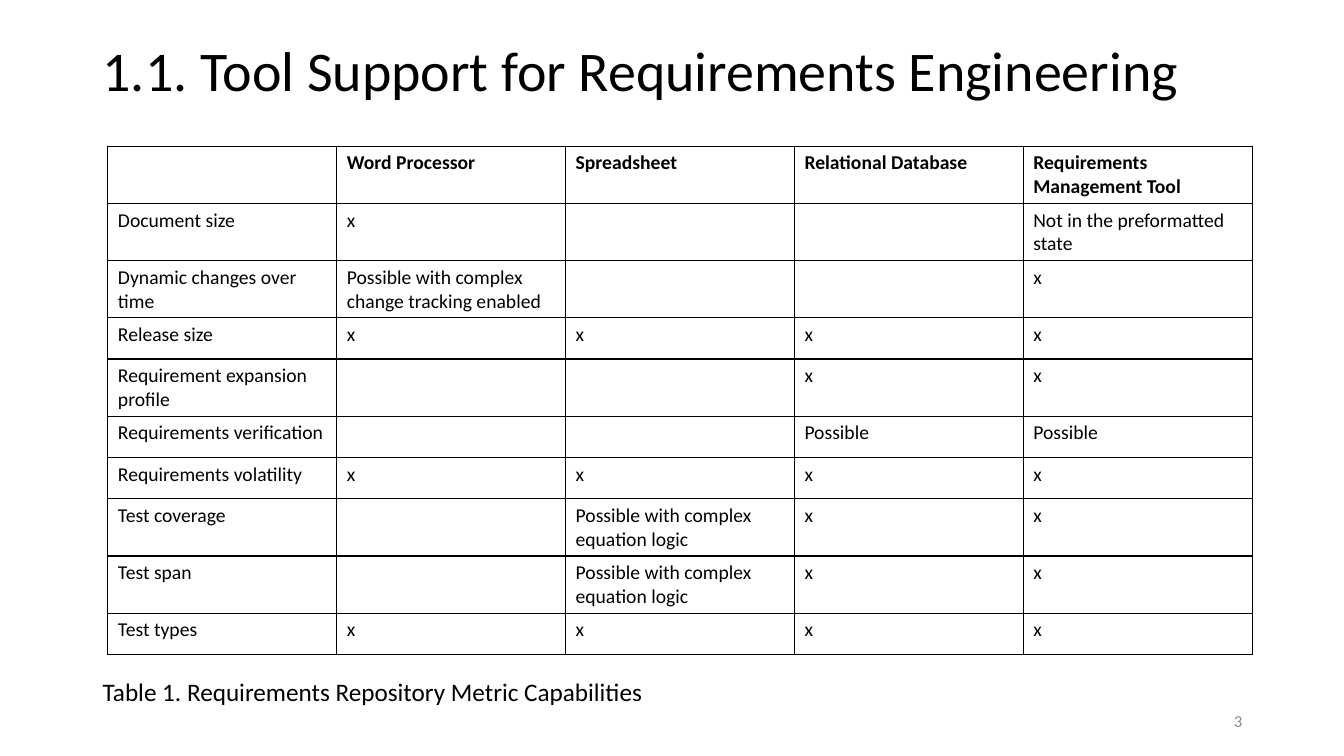
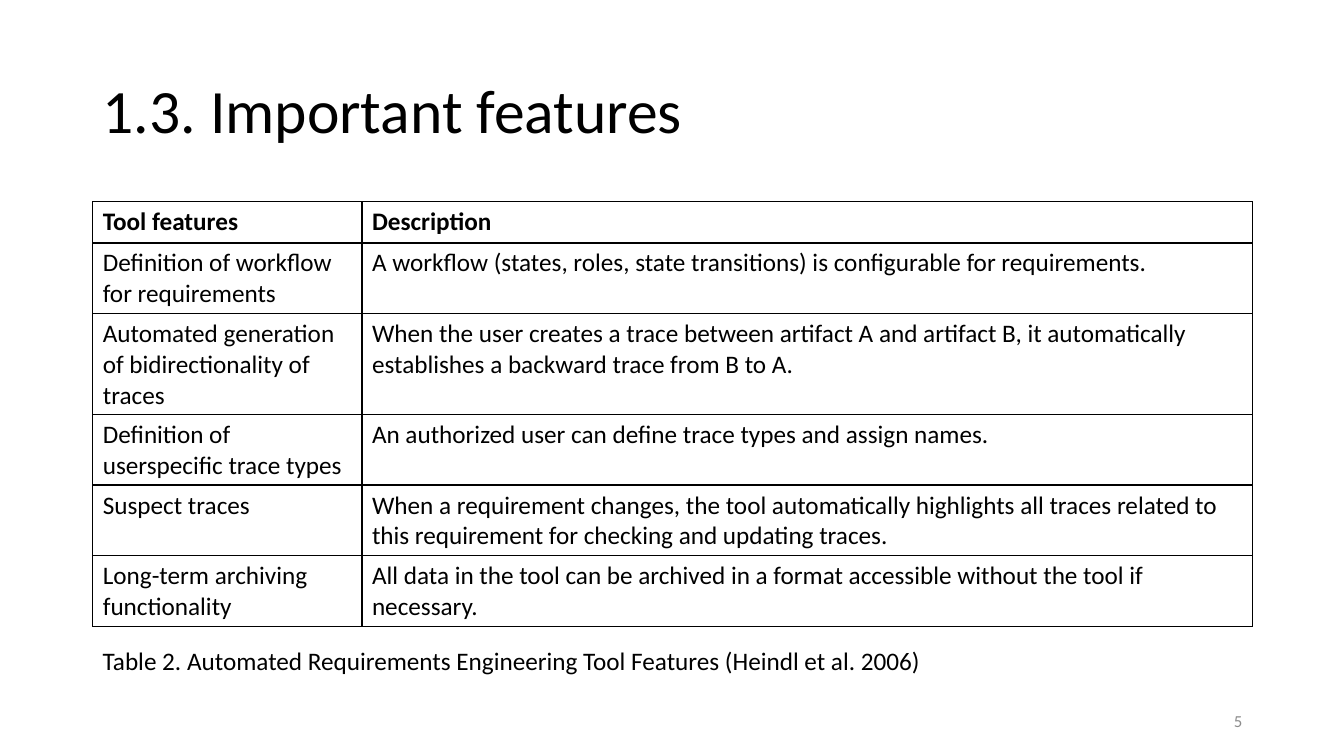
from dataclasses import dataclass

from lxml.etree import SubElement
from pptx import Presentation
from pptx.dml.color import RGBColor
from pptx.enum.text import MSO_ANCHOR, PP_ALIGN
from pptx.oxml.ns import qn
from pptx.util import Inches, Pt

COLORS = {"text": "000000", "border": "000000", "number": "8C8C8C"}
FONT = "Calibri"
LEFT = 0.92
WIDTH = 11.5
ROW_HEIGHT = 0.41
BORDER_WIDTH = Pt(1)


@dataclass
class TextStyle:
    size: int
    color: str = "text"
    bold: bool = False
    align: PP_ALIGN = PP_ALIGN.LEFT
    anchor: MSO_ANCHOR = MSO_ANCHOR.TOP
    line_spacing: float = 1.0


@dataclass
class Box:
    left: float
    top: float
    width: float
    height: float


@dataclass
class TableSlide:
    title: str
    title_top: float
    title_size: int
    table_left: float
    table_top: float
    col_widths: list[float]
    cell_size: int
    rows: list[list[str]]
    caption: str
    caption_top: float
    number: int


CAPTION = TextStyle(18)
NUMBER = TextStyle(12, "number", align=PP_ALIGN.RIGHT, anchor=MSO_ANCHOR.MIDDLE)

SLIDES = [
    TableSlide(
        title="1.1. Tool Support for Requirements Engineering",
        title_top=0,
        title_size=40,
        table_left=1.07,
        table_top=1.45,
        col_widths=[2.27] * 5,
        cell_size=14,
        rows=[
            ["", "Word Processor", "Spreadsheet", "Relational Database",
             "Requirements Management Tool"],
            ["Document size", "x", "", "", "Not in the preformatted state"],
            ["Dynamic changes over time",
             "Possible with complex change tracking enabled", "", "", "x"],
            ["Release size", "x", "x", "x", "x"],
            ["Requirement expansion profile", "", "", "x", "x"],
            ["Requirements verification", "", "", "Possible", "Possible"],
            ["Requirements volatility", "x", "x", "x", "x"],
            ["Test coverage", "", "Possible with complex equation logic", "x", "x"],
            ["Test span", "", "Possible with complex equation logic", "x", "x"],
            ["Test types", "x", "x", "x", "x"],
        ],
        caption="Table 1. Requirements Repository Metric Capabilities",
        caption_top=6.66,
        number=3,
    ),
    TableSlide(
        title="1.3. Important features",
        title_top=0.4,
        title_size=44,
        table_left=LEFT,
        table_top=2,
        col_widths=[2.67, 8.83],
        cell_size=18,
        rows=[
            ["Tool features", "Description"],
            ["Definition of workflow for requirements",
             "A workflow (states, roles, state transitions) is configurable "
             "for requirements."],
            ["Automated generation of bidirectionality of traces",
             "When the user creates a trace between artifact A and artifact B, "
             "it automatically establishes a backward trace from B to A."],
            ["Definition of userspecific trace types",
             "An authorized user can define trace types and assign names."],
            ["Suspect traces",
             "When a requirement changes, the tool automatically highlights all "
             "traces related to this requirement for checking and updating traces."],
            ["Long-term archiving functionality",
             "All data in the tool can be archived in a format accessible "
             "without the tool if necessary."],
        ],
        caption="Table 2. Automated Requirements Engineering Tool Features "
                "(Heindl et al. 2006)",
        caption_top=6.35,
        number=5,
    ),
]


def write_text(tf, text: str, style: TextStyle) -> None:
    tf.text = text
    p = tf.paragraphs[0]
    p.alignment = style.align
    p.line_spacing = style.line_spacing
    for r in p.runs:
        r.font.name = FONT
        r.font.size = Pt(style.size)
        r.font.bold = style.bold
        r.font.color.rgb = RGBColor.from_string(COLORS[style.color])


def add_text(s, box: Box, text: str, style: TextStyle) -> None:
    sp = s.shapes.add_textbox(Inches(box.left), Inches(box.top),
                              Inches(box.width), Inches(box.height))
    tf = sp.text_frame
    tf.word_wrap = True
    tf.vertical_anchor = style.anchor
    write_text(tf, text, style)


def set_borders(cell) -> None:
    tc_pr = cell._tc.get_or_add_tcPr()
    for side in ("a:lnL", "a:lnR", "a:lnT", "a:lnB"):
        ln = SubElement(tc_pr, qn(side), w=str(BORDER_WIDTH))
        fill = SubElement(ln, qn("a:solidFill"))
        SubElement(fill, qn("a:srgbClr"), val=COLORS["border"])


def add_grid(s, content: TableSlide) -> None:
    rows, widths = content.rows, content.col_widths
    frame = s.shapes.add_table(
        len(rows), len(widths), Inches(content.table_left), Inches(content.table_top),
        Inches(sum(widths)), Inches(ROW_HEIGHT * len(rows)))
    table = frame.table
    table.first_row = False
    table.horz_banding = False
    for column, width in zip(table.columns, widths):
        column.width = Inches(width)
    for i, texts in enumerate(rows):
        table.rows[i].height = Inches(ROW_HEIGHT)
        for j, text in enumerate(texts):
            cell = table.cell(i, j)
            set_borders(cell)
            cell.fill.background()
            if text:
                write_text(cell.text_frame, text,
                           TextStyle(content.cell_size, bold=i == 0))


def add_table_slide(prs, content: TableSlide) -> None:
    s = prs.slides.add_slide(prs.slide_layouts[6])
    title = TextStyle(content.title_size, anchor=MSO_ANCHOR.MIDDLE, line_spacing=0.9)
    add_text(s, Box(LEFT, content.title_top, WIDTH, 1.45), content.title, title)
    add_grid(s, content)
    add_text(s, Box(9.42, 6.95, 3, 0.4), str(content.number), NUMBER)
    add_text(s, Box(LEFT, content.caption_top, 9.7, 0.4), content.caption, CAPTION)


def main() -> None:
    prs = Presentation()
    prs.slide_width = Inches(13.33)
    prs.slide_height = Inches(7.5)
    for content in SLIDES:
        add_table_slide(prs, content)
    prs.save("out.pptx")


if __name__ == "__main__":
    main()
